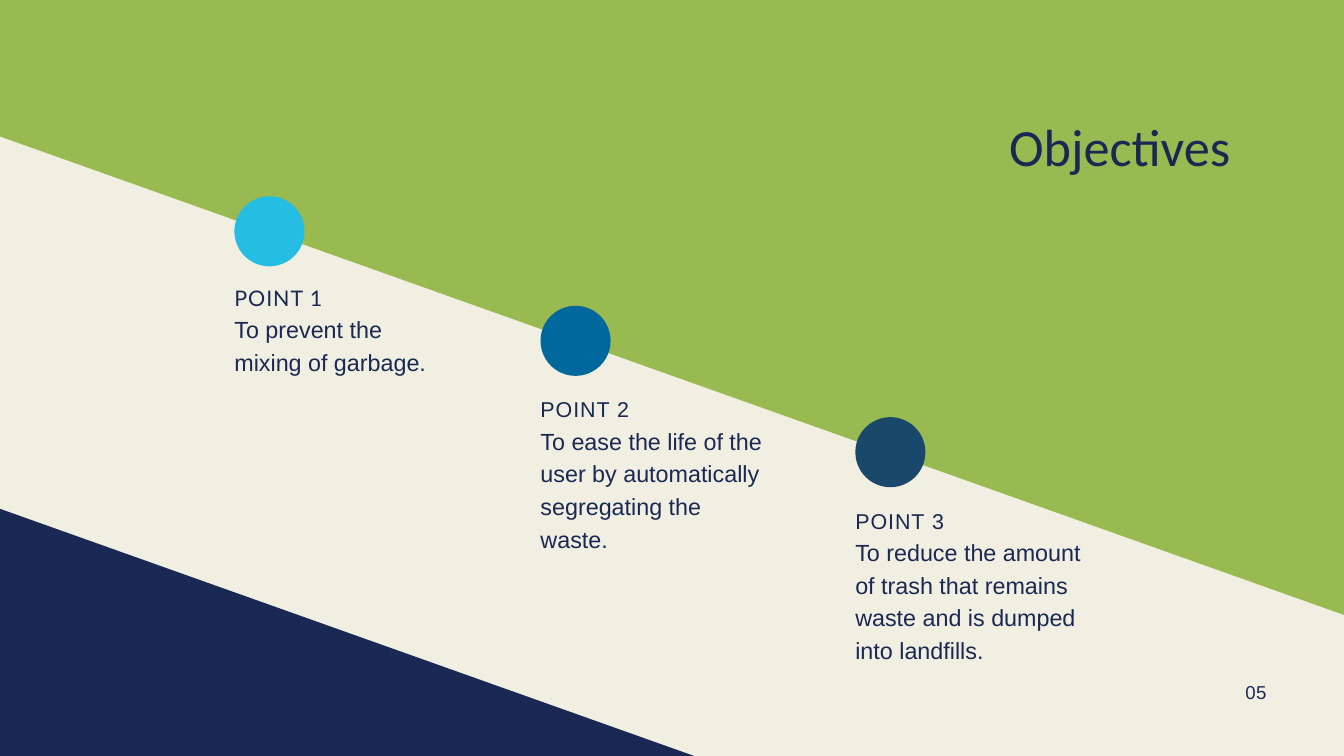
from dataclasses import dataclass

from pptx import Presentation
from pptx.dml.color import RGBColor
from pptx.enum.shapes import MSO_SHAPE
from pptx.enum.text import PP_ALIGN
from pptx.util import Cm, Pt

RECT, OVAL = MSO_SHAPE.RECTANGLE, MSO_SHAPE.OVAL
LEFT, RIGHT, JUSTIFY = PP_ALIGN.LEFT, PP_ALIGN.RIGHT, PP_ALIGN.JUSTIFY


@dataclass(frozen=True)
class Theme:
    """Colours, fonts and type sizes of the slide."""
    cream: str = "F1EFE1"
    green: str = "99B951"
    navy: str = "192954"
    sky: str = "26BDE2"
    blue: str = "00689D"
    steel: str = "19486A"
    body_font: str = "Arial"
    label_font: str = "Lato"
    title_font: str = "Calibri"
    title: float = 56
    body: float = 25
    label: float = 23
    number: float = 20


THEME = Theme()
SLOPE = 199.6
DOT = 2.65
BODY_DROP = 1.35

POINTS = [
    ((8.86, 7.42, 8.08, 6.7), 2.97, THEME.sky, THEME.label_font,
     "POINT 1", "To prevent the mixing of garbage."),
    ((20.43, 11.56, 8.79, 9.2), 3.05, THEME.blue, THEME.body_font,
     "POINT 2", "To ease the life of the user by automatically segregating the waste."),
    ((32.33, 15.77, 8.79, 9.2), 3.05, THEME.steel, THEME.body_font,
     "POINT 3", "To reduce the amount of trash that remains waste and is dumped into landfills."),
]


def add_filled(s, kind, box, color):
    """Add a borderless preset shape in one colour."""
    sp = s.shapes.add_shape(kind, *map(Cm, box))
    sp.shadow.inherit = False
    sp.fill.solid()
    sp.fill.fore_color.rgb = RGBColor.from_string(color)
    sp.line.fill.background()
    return sp


def add_text(s, box, text, font, size, leading, align=LEFT, tracking=0):
    """Add a one-paragraph text box without margins."""
    tf = s.shapes.add_textbox(*map(Cm, box)).text_frame
    tf.word_wrap = True
    tf.margin_left = tf.margin_top = tf.margin_right = tf.margin_bottom = 0
    p = tf.paragraphs[0]
    r = p.add_run()
    r.text = text
    p.alignment = align
    p.line_spacing = Pt(leading)
    p.font.name = font
    p.font.size = Pt(size)
    p.font.color.rgb = RGBColor.from_string(THEME.navy)
    if tracking:
        r.font._element.set("spc", str(round(tracking * 100)))


def add_band(s, box, color):
    """Add a diagonal band across the slide."""
    add_filled(s, RECT, box, color).rotation = SLOPE


def add_point(s, box, label_drop, color, label_font, label, body):
    """Add a dot with its label and description below it."""
    x, y, w, h = box
    body_drop = label_drop + BODY_DROP
    add_filled(s, OVAL, (x, y, DOT, DOT), color)
    add_text(s, (x, y + label_drop, w, 1.17), label, label_font,
             THEME.label, 38.2, JUSTIFY, 1)
    add_text(s, (x, y + body_drop, w, h - body_drop), body, THEME.body_font,
             THEME.body, 35)


def add_title(s, box):
    """Add the slide title."""
    add_text(s, box, "Objectives", THEME.title_font, THEME.title, 58.8, RIGHT)


def add_number(s, box):
    """Add the page number."""
    add_text(s, box, "05", THEME.body_font, THEME.number, 28, RIGHT, 0.4)


def main():
    """Build the objectives slide and save it."""
    prs = Presentation()
    prs.slide_width, prs.slide_height = Cm(50.8), Cm(28.58)
    s = prs.slides.add_slide(prs.slide_layouts[6])
    s.background.fill.solid()
    s.background.fill.fore_color.rgb = RGBColor.from_string(THEME.cream)
    add_band(s, (0.74, -10.26, 55.9, 24.87), THEME.green)
    add_band(s, (-18.01, 23.52, 55.9, 24.23), THEME.navy)
    for point in POINTS:
        add_point(s, *point)
    add_title(s, (26.29, 4.62, 20.22, 2.21))
    add_number(s, (42.82, 25.58, 5.05, 0.97))
    prs.save("out.pptx")


if __name__ == "__main__":
    main()
